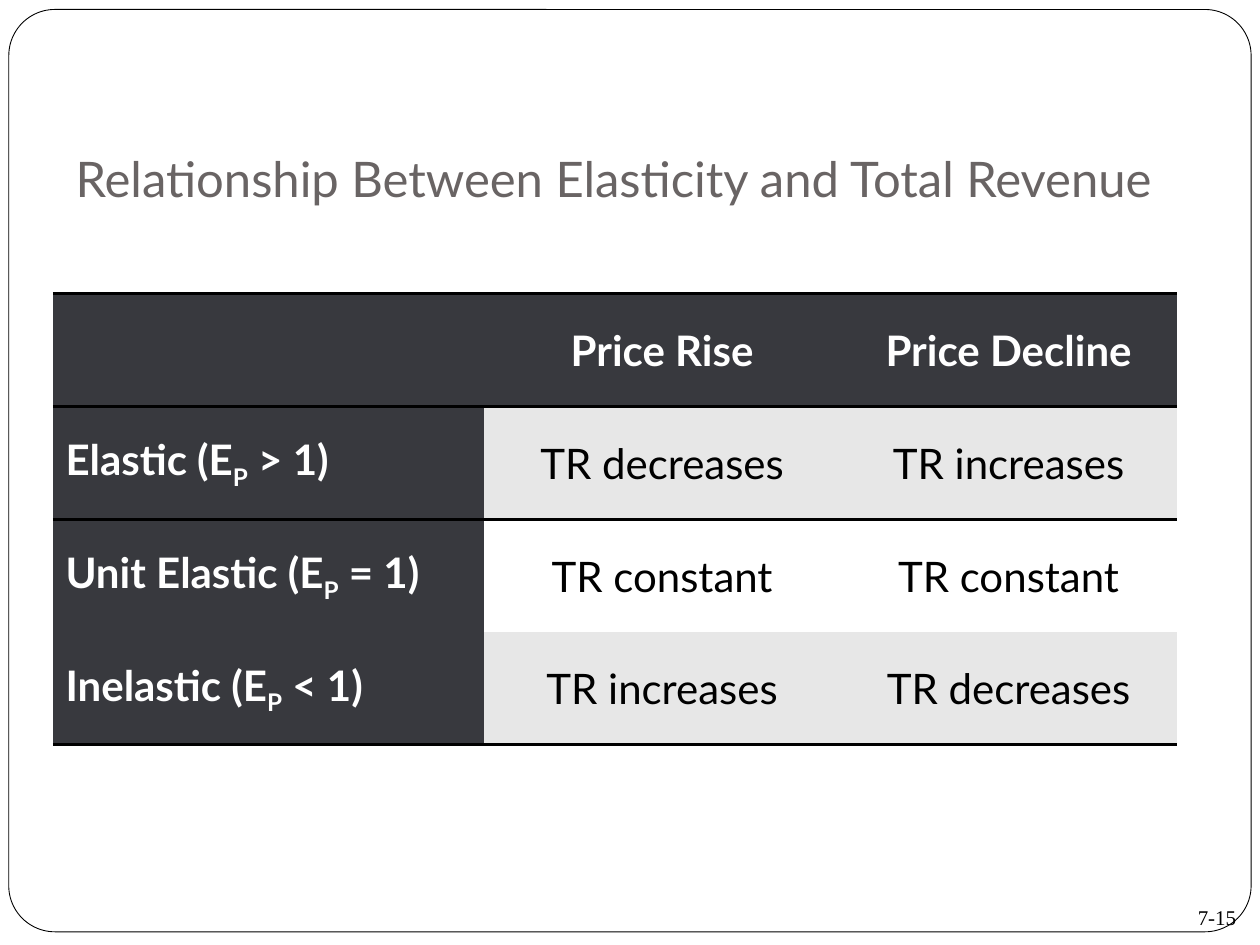
import pptx
import pptx.util
import pptx.dml.color
import pptx.enum.shapes
import pptx.enum.text
import pptx.oxml
import pptx.oxml.ns

WIDE, HIGH = 10, 7.5
DARK, PALE, WHITE, BLACK, GREY = "38393E", "E7E7E7", "FFFFFF", "000000", "696464"
PLAIN = "{2D5ABB26-0587-4C30-8999-92F81FD0307C}"
COLS, ROW = (3.42, 2.83, 2.67), 0.895
ROWS = (
    ("", "Price Rise", "Price Decline"),
    ("Elastic (E_P_ > 1)", "TR decreases", "TR increases"),
    ("Unit Elastic (E_P_ = 1)", "TR constant", "TR constant"),
    ("Inelastic (E_P_ < 1)", "TR increases", "TR decreases"),
)
ALIGN = pptx.enum.text.PP_ALIGN
ANCHOR = pptx.enum.text.MSO_ANCHOR


def tint(code):
    """Turn a hex string into a colour."""
    return pptx.dml.color.RGBColor.from_string(code)


def box(left, top, width, height):
    """Turn shares of the slide's size into lengths."""
    return [pptx.util.Inches(share * size) for share, size in
            zip((left, top, width, height), (WIDE, HIGH, WIDE, HIGH))]


def write(frame, text, size=24, font="Lato", color=BLACK, bold=False, align=ALIGN.LEFT):
    """Write one paragraph, with parts between underscores as subscript."""
    para = frame.paragraphs[0]
    para.alignment = align
    for spot, part in enumerate(text.split("_")):
        run = para.add_run()
        run.text = part
        run.font.size = pptx.util.Pt(size)
        run.font.name = font
        run.font.bold = bold
        run.font.color.rgb = tint(color)
        if spot % 2:
            run.font._element.set("baseline", "-25000")


def rule(cell, side):
    """Draw a black line on the top (T) or bottom (B) of a cell."""
    line = pptx.oxml.parse_xml(
        f'<a:ln{side} {pptx.oxml.ns.nsdecls("a")} w="{pptx.util.Pt(2)}"><a:solidFill>'
        f'<a:srgbClr val="{BLACK}"/></a:solidFill></a:ln{side}>')
    cell._tc.get_or_add_tcPr().insert(0, line)


def border(slide):
    """Put the rounded border behind everything else."""
    kind = pptx.enum.shapes.MSO_SHAPE.ROUNDED_RECTANGLE
    shape = slide.shapes.add_shape(kind, *box(0.007, 0.01, 0.986, 0.976))
    shape.adjustments[0] = 0.05
    shape.shadow.inherit = False
    shape.fill.solid()
    shape.fill.fore_color.rgb = tint(WHITE)
    shape.line.color.rgb = tint(BLACK)
    shape.line.width = pptx.util.Pt(0.5)
    slide.shapes._spTree.insert(2, shape._element)


def title(slide, text):
    """Fill and place the title."""
    shape = slide.shapes.title
    shape.left, shape.top, shape.width, shape.height = box(0.05, 0.133, 0.9, 0.1)
    frame = shape.text_frame
    frame.auto_size = pptx.enum.text.MSO_AUTO_SIZE.NONE
    frame.vertical_anchor = ANCHOR.BOTTOM
    frame.margin_bottom = pptx.util.Inches(0.1)
    write(frame, text, size=28, color=GREY)


def grid(slide):
    """Build the table of revenue changes."""
    place = box(0.042, 0.311, sum(COLS) / WIDE, ROW * len(ROWS) / HIGH)
    table = slide.shapes.add_table(len(ROWS), len(COLS), *place).table
    table._tbl.tblPr.find(pptx.oxml.ns.qn("a:tableStyleId")).text = PLAIN
    for col, width in zip(table.columns, COLS):
        col.width = pptx.util.Inches(width)
    for r, row in enumerate(ROWS):
        for c, text in enumerate(row):
            cell = table.cell(r, c)
            head = r == 0 or c == 0
            cell.vertical_anchor = ANCHOR.MIDDLE
            cell.fill.solid()
            cell.fill.fore_color.rgb = tint(DARK if head else PALE if r % 2 else WHITE)
            if text:
                write(cell.text_frame, text, color=WHITE if head else BLACK,
                      bold=head, align=ALIGN.CENTER if c else ALIGN.LEFT)
            if r in (0, len(ROWS) - 1):
                rule(cell, "B")
            if r in (0, 1):
                rule(cell, "T")


def number(slide, text):
    """Write the page number in the lower right corner."""
    frame = slide.shapes.add_textbox(*box(0.783, 0.923, 0.208, 0.067)).text_frame
    frame.word_wrap = True
    frame.vertical_anchor = ANCHOR.BOTTOM
    write(frame, text, size=12, font="Times New Roman", align=ALIGN.RIGHT)


def main():
    """Build and save the slide."""
    deck = pptx.Presentation()
    deck.slide_width = pptx.util.Inches(WIDE)
    deck.slide_height = pptx.util.Inches(HIGH)
    slide = deck.slides.add_slide(deck.slide_layouts[5])
    border(slide)
    title(slide, "Relationship Between Elasticity and Total Revenue")
    grid(slide)
    number(slide, "7-15")
    deck.save("out.pptx")


if __name__ == "__main__":
    main()
